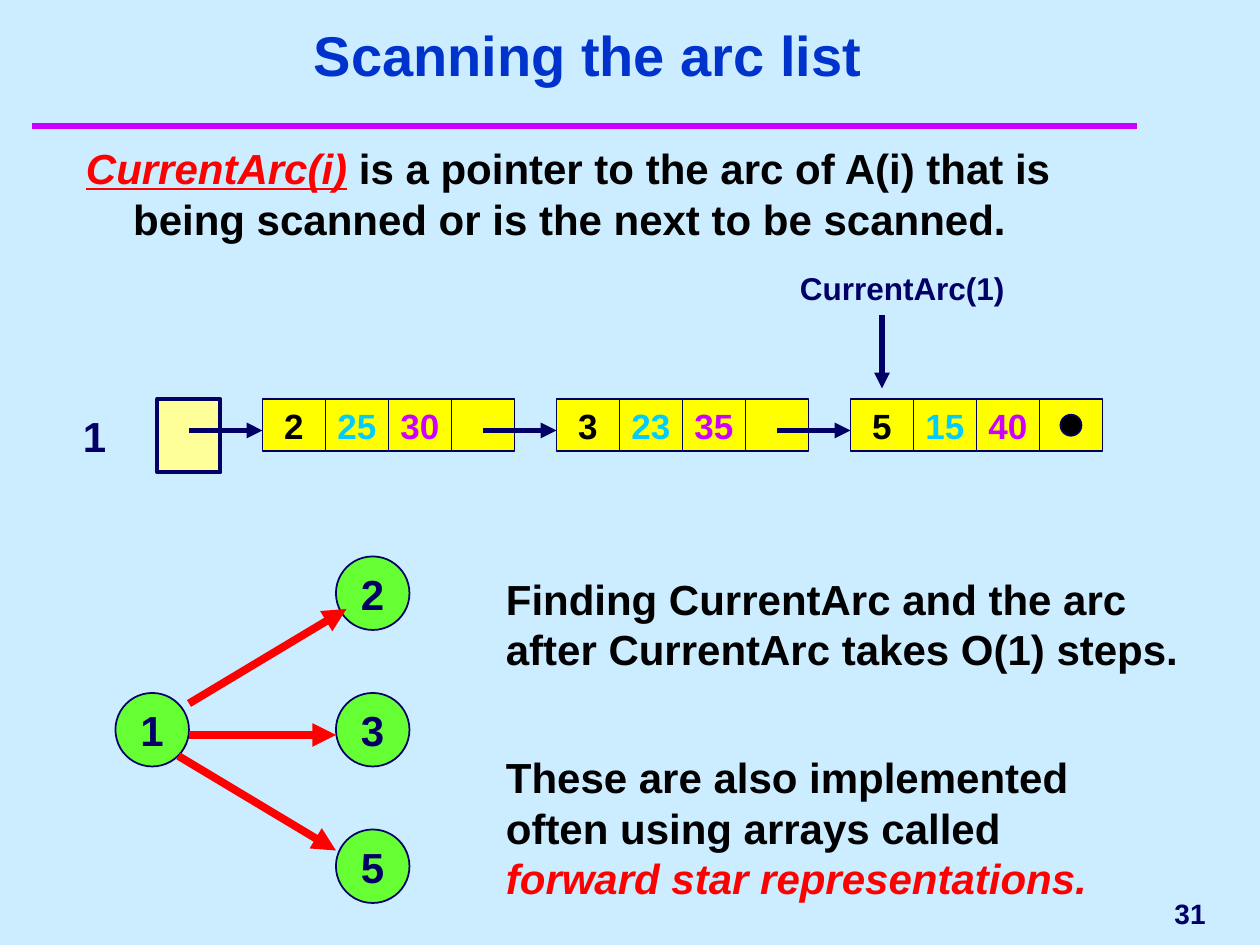
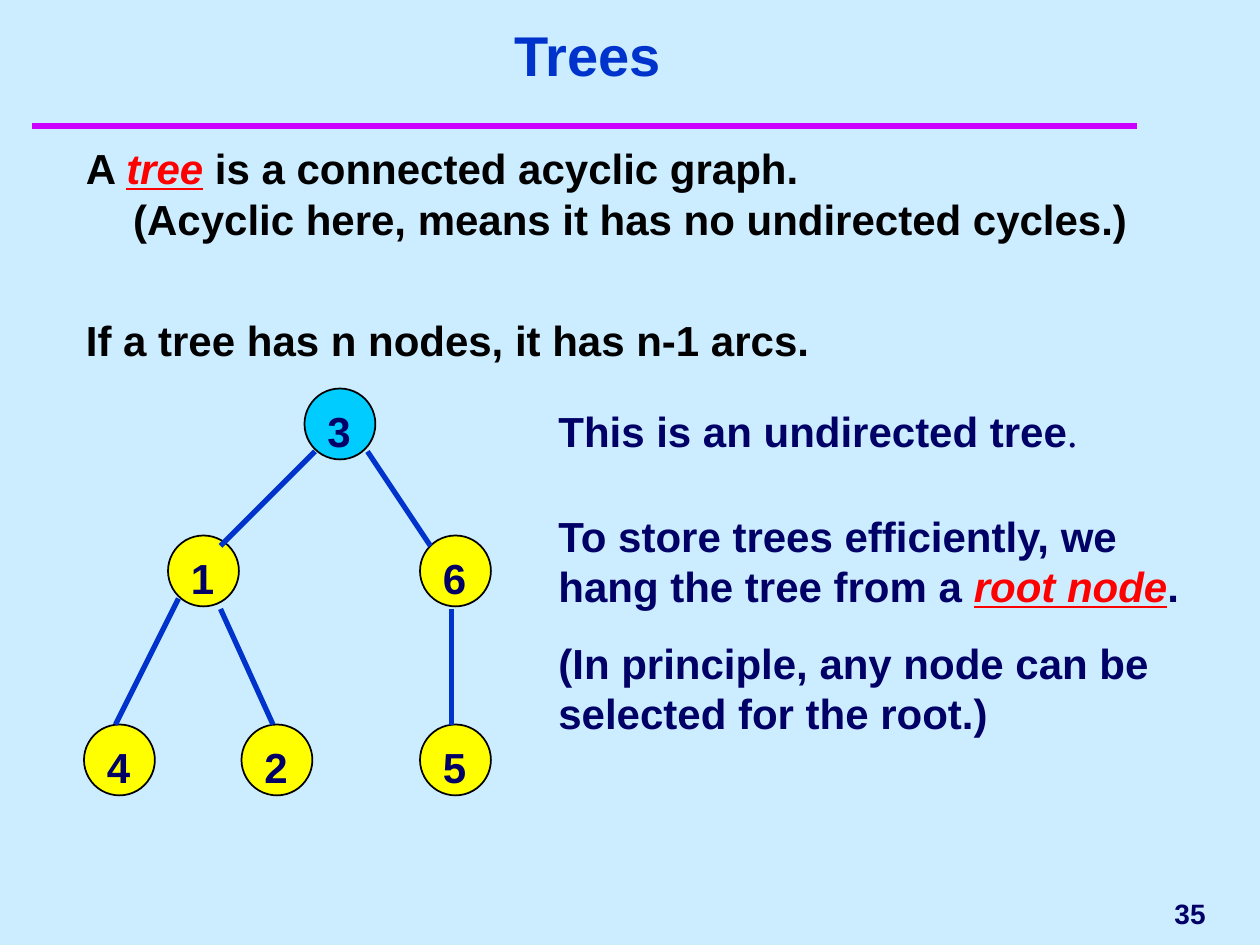
import pptx
import pptx.dml.color
import pptx.enum.shapes
import pptx.enum.text
import pptx.oxml.ns
import pptx.util
import lxml.etree

Pt = pptx.util.Pt
ALIGN = pptx.enum.text.PP_ALIGN
ANCHOR = pptx.enum.text.MSO_ANCHOR
SHAPE = pptx.enum.shapes.MSO_SHAPE
STRAIGHT = pptx.enum.shapes.MSO_CONNECTOR.STRAIGHT

SKY, NAVY, BLUE, CYAN = "CCECFF", "000066", "0033CC", "00CCFF"
BLACK, RED, MAGENTA = "000000", "FF0000", "CC00FF"
YELLOW, CREAM, GREEN = "FFFF00", "FFFF99", "66FF33"
TERM = {"color": RED, "italic": True, "underline": True}


def rgb(value):
    return pptx.dml.color.RGBColor.from_string(value)


class SlideBuilder:
    font = "Arial"
    line_pitch = 1.2

    def __init__(self, deck):
        self.deck = deck
        self.page = None

    def start(self, title, number):
        self.page = self.deck.slides.add_slide(self.deck.slide_layouts[5])
        self.page.background.fill.solid()
        self.page.background.fill.fore_color.rgb = rgb(SKY)
        self.line((18, 72), (650, 72), MAGENTA, 4)
        heading = self.page.shapes.title
        heading.left, heading.top, heading.width, heading.height = map(Pt, (30, 24, 612, 30))
        self.fill_text(heading, [[(title, {})]], 32, BLUE, ALIGN.CENTER, ANCHOR.BOTTOM)
        self.text((558, 504, 138, 36), [[(str(number), {})]], 16,
                  align=ALIGN.RIGHT, anchor=ANCHOR.MIDDLE, wrap=False)

    def fill_text(self, box, paragraphs, size, color=NAVY, align=ALIGN.LEFT,
                  anchor=ANCHOR.TOP, wrap=True, gap=0, hanging=0):
        frame = box.text_frame
        frame.word_wrap = wrap
        frame.auto_size = pptx.enum.text.MSO_AUTO_SIZE.NONE
        frame.vertical_anchor = anchor
        frame.margin_left = frame.margin_right = Pt(7.2)
        frame.margin_top = frame.margin_bottom = Pt(3.6)
        for index, spans in enumerate(paragraphs):
            para = frame.add_paragraph() if index else frame.paragraphs[0]
            para.alignment = align
            para.line_spacing = Pt(size * self.line_pitch)
            para.space_before = Pt(gap if index else 0)
            if hanging:
                properties = para._p.get_or_add_pPr()
                properties.set("marL", str(Pt(hanging)))
                properties.set("indent", str(Pt(-hanging)))
            for content, style in spans:
                if content == "\n":
                    para.add_line_break()
                    continue
                span = para.add_run()
                span.text = content
                span.font.size = Pt(size)
                span.font.name = style.get("font", self.font)
                span.font.bold = style.get("bold", True)
                span.font.italic = style.get("italic", False)
                span.font.underline = style.get("underline", False)
                span.font.color.rgb = rgb(style.get("color", color))

    def text(self, bounds, paragraphs, size=24, color=NAVY, **layout):
        box = self.page.shapes.add_textbox(*map(Pt, bounds))
        self.fill_text(box, paragraphs, size, color, **layout)

    def shape(self, kind, bounds, fill, outline=NAVY, weight=1, label="", size=24,
              color=NAVY, align=ALIGN.CENTER, anchor=ANCHOR.MIDDLE, wrap=False):
        box = self.page.shapes.add_shape(kind, *map(Pt, bounds))
        box.shadow.inherit = False
        box.fill.solid()
        box.fill.fore_color.rgb = rgb(fill)
        box.line.color.rgb = rgb(outline)
        box.line.width = Pt(weight)
        if label:
            self.fill_text(box, [[(label, {})]], size, color, align, anchor, wrap)

    def line(self, start, end, color, weight, arrow=False):
        connector = self.page.shapes.add_connector(STRAIGHT, *map(Pt, start + end))
        connector.line.color.rgb = rgb(color)
        connector.line.width = Pt(weight)
        qn = pptx.oxml.ns.qn
        if arrow:
            head = lxml.etree.SubElement(connector.line._get_or_add_ln(), qn("a:tailEnd"))
            head.set("type", "triangle")
        lxml.etree.SubElement(connector._element.spPr, qn("a:effectLst"))


def arc_list_slide(builder):
    builder.start("Scanning the arc list", 31)
    builder.text((42, 78, 608, 96), [[
        ("CurrentArc(i)", TERM),
        (" is a pointer to the arc of A(i) that is being scanned"
         " or is the next to be scanned.", {}),
    ]], color=BLACK, hanging=27)

    row_top, cell_width, cell_height, arrow_y = 228, 36, 30, 246
    builder.text((36, row_top, 36, 42), [[("1", {})]],
                 align=ALIGN.CENTER, anchor=ANCHOR.MIDDLE, wrap=False)
    builder.shape(SHAPE.RECTANGLE, (90, row_top, cell_width, 42), CREAM, weight=2.25)
    arc_records = [("2", "25", "30"), ("3", "23", "35"), ("5", "15", "40")]
    for index, record in enumerate(arc_records):
        left = 150 + 168 * index
        builder.line((left - 42, arrow_y), (left, arrow_y), NAVY, 3, arrow=True)
        for column, (label, color) in enumerate(zip(record + ("",), (BLACK, CYAN, MAGENTA, NAVY))):
            builder.shape(SHAPE.RECTANGLE,
                          (left + column * cell_width, row_top, cell_width, cell_height),
                          YELLOW, label=label, size=20, color=color)
    builder.shape(SHAPE.OVAL, (606, 237, 12, 12), BLACK)

    builder.text((450, 150, 144, 29), [[("CurrentArc(1)", {})]], 18)
    builder.line((504, 180), (504, 222), NAVY, 3, arrow=True)

    for label, left, top in [("1", 66, 396), ("2", 192, 318), ("3", 192, 396), ("5", 192, 474)]:
        builder.shape(SHAPE.OVAL, (left, top, 42, 42), GREEN, label=label)
    for start, end in [((108, 402), (198, 348)), ((108, 420), (192, 420)), ((102, 432), (192, 486))]:
        builder.line(start, end, RED, 4.5, arrow=True)

    builder.text((282, 324, 414, 65), [[
        ("Finding CurrentArc and the arc after CurrentArc takes O(1) steps.", {}),
    ]], color=BLACK)
    builder.text((282, 426, 378, 94), [[
        ("These are also implemented often using arrays called ", {}),
        ("forward star representations.", {"color": RED, "italic": True}),
    ]], color=BLACK)


def trees_slide(builder):
    builder.start("Trees", 35)
    builder.text((42, 78, 654, 156), [
        [("A ", {}), ("tree", TERM), (" is a connected acyclic graph.", {}), ("\n", {}),
         ("(Acyclic here, means it has no undirected cycles.)", {})],
        [("If a tree has n nodes, it has n-1 arcs.", {})],
    ], color=BLACK, gap=40.8, hanging=27)

    nodes = [("1", 96, 306, YELLOW), ("2", 138, 414, YELLOW), ("6", 240, 306, YELLOW),
             ("5", 240, 414, YELLOW), ("4", 48, 414, YELLOW), ("3", 174, 222, CYAN)]
    for label, left, top, fill in nodes:
        builder.shape(SHAPE.OVAL, (left, top, 40.5, 40.5), fill, BLACK, label=label,
                      align=ALIGN.LEFT, anchor=ANCHOR.TOP, wrap=True)
    branches = [((180, 258), (126, 312)), ((210, 258), (246, 312)), ((102, 342), (66, 414)),
                ((126, 348), (156, 414)), ((258, 348), (258, 414))]
    for start, end in branches:
        builder.line(start, end, BLUE, 3)

    builder.text((312, 228, 342, 36), [[
        ("This is an undirected tree", {}),
        (".", {"font": "Times New Roman", "bold": False}),
    ]])
    builder.text((312, 288, 378, 138), [
        [("To store trees efficiently, we hang the tree from a ", {}),
         ("root node", TERM), (".", {})],
        [("(In principle, any node can be selected for the root.)", {})],
    ], gap=15)


def main():
    deck = pptx.Presentation()
    deck.slide_width, deck.slide_height = Pt(720), Pt(540)
    builder = SlideBuilder(deck)
    arc_list_slide(builder)
    trees_slide(builder)
    deck.save("out.pptx")


if __name__ == "__main__":
    main()
